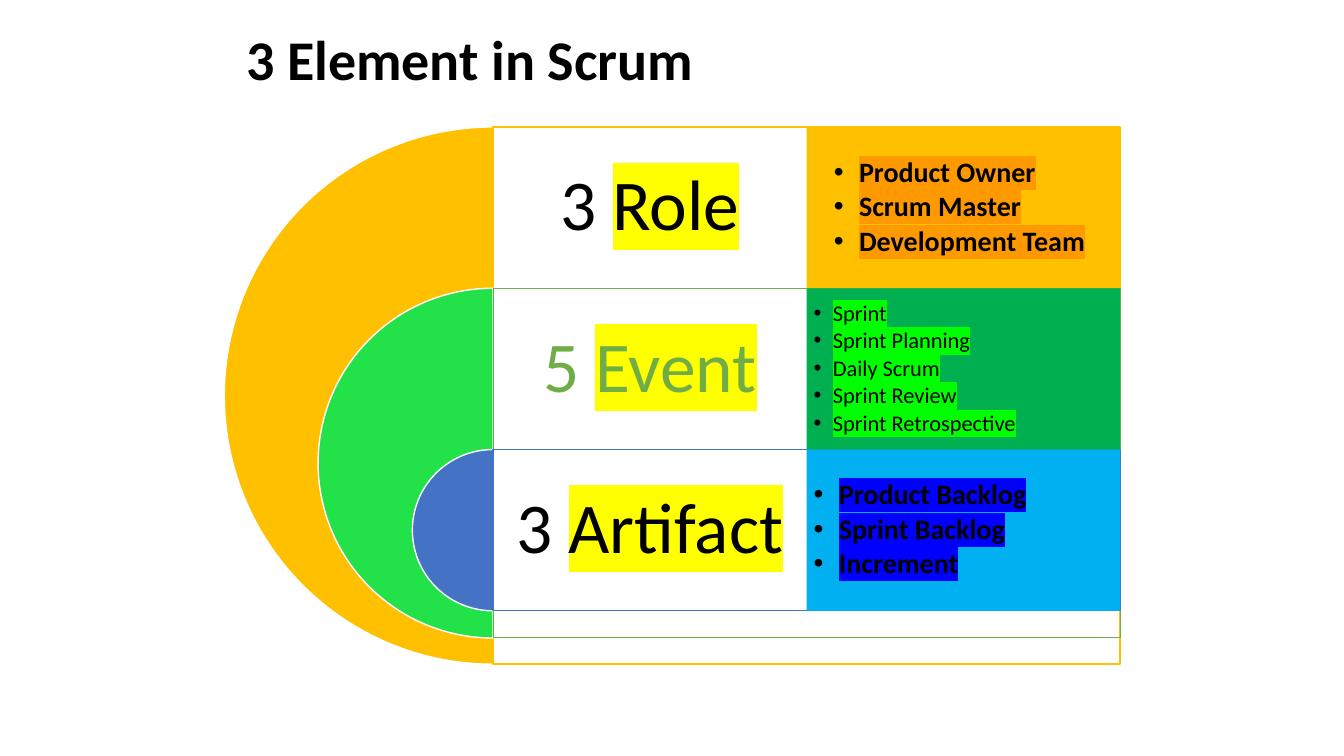
import lxml.etree
import pptx
import pptx.dml.color
import pptx.enum.shapes
import pptx.enum.text
import pptx.oxml.ns
import pptx.util
from pptx.util import Inches

COLORS = {
    "black": "000000", "white": "FFFFFF", "yellow": "FFFF00",
    "gold": "FFC000", "orange": "FF9900",
    "bright_green": "23E148", "soft_green": "70AD47",
    "green": "00B050", "lime": "00FF00",
    "steel_blue": "4472C4", "sky_blue": "00B0F0", "blue": "0000FF",
}
FONT = "Calibri"
TOP, ROW_HEIGHT = 1.26, 1.6
CENTER, COLUMN_WIDTH = 4.89, 3.11

ROWS = [
    {"count": "3 ", "name": "Role", "label": "black", "size": 5.33,
     "pie": "gold", "frame": "gold", "frame_width": 1, "opacity": 90,
     "panel": "gold", "highlight": "orange", "font_size": 20, "bold": True,
     "inset": 0.27, "indent": 0.25, "gap": 3,
     "items": ["Product Owner", "Scrum Master", "Development Team"]},
    {"count": "5 ", "name": "Event", "label": "soft_green", "size": 3.47,
     "pie": "bright_green", "frame": "soft_green", "frame_width": 0.75,
     "opacity": 0,
     "panel": "green", "highlight": "lime", "font_size": 16, "bold": False,
     "inset": 0.07, "indent": 0.19, "gap": 2.4,
     "items": ["Sprint", "Sprint Planning", "Daily Scrum", "Sprint Review",
               "Sprint Retrospective"]},
    {"count": "3 ", "name": "Artifact", "label": "black", "size": 1.6,
     "pie": "steel_blue", "frame": "steel_blue", "frame_width": 1,
     "opacity": 90,
     "panel": "sky_blue", "highlight": "blue", "font_size": 20, "bold": True,
     "inset": 0.07, "indent": 0.25, "gap": 3,
     "items": ["Product Backlog", "Sprint Backlog", "Increment"]},
]


def rgb(name):
    return pptx.dml.color.RGBColor.from_string(COLORS[name])


def add_child(parent, tag, **attributes):
    return lxml.etree.SubElement(parent, pptx.oxml.ns.qn(tag), attributes)


def place(shape, left, top, width, height):
    shape.left, shape.top = Inches(left), Inches(top)
    shape.width, shape.height = Inches(width), Inches(height)


def format_run(run, size, color, bold=False, highlight=None):
    run.font.name = FONT
    run.font.size = pptx.util.Pt(size)
    run.font.bold = bold
    run.font.color.rgb = rgb(color)
    if highlight:
        properties = run.font._element
        mark = add_child(properties, "a:highlight")
        add_child(mark, "a:srgbClr", val=COLORS[highlight])
        properties.find(pptx.oxml.ns.qn("a:solidFill")).addnext(mark)


def set_frame(text_frame, inset):
    """Centre the text vertically with the same inset on every side."""
    text_frame.word_wrap = True
    text_frame.auto_size = pptx.enum.text.MSO_AUTO_SIZE.NONE
    text_frame.vertical_anchor = pptx.enum.text.MSO_ANCHOR.MIDDLE
    text_frame.margin_left = text_frame.margin_right = Inches(inset)
    text_frame.margin_top = text_frame.margin_bottom = Inches(inset)


def add_outlined(slide, kind, box, fill, line, line_width, opacity=100):
    shape = slide.shapes.add_shape(kind, *map(Inches, box))
    shape.shadow.inherit = False
    shape.line.color.rgb = rgb(line)
    shape.line.width = pptx.util.Pt(line_width)
    if opacity == 0:
        shape.fill.background()
        return shape
    shape.fill.solid()
    shape.fill.fore_color.rgb = rgb(fill)
    if opacity < 100:
        color = shape._element.spPr.find(
            pptx.oxml.ns.qn("a:solidFill"))[0]
        add_child(color, "a:alpha", val=str(opacity * 1000))
    return shape


def add_half_disc(slide, row, top):
    size = row["size"]
    pie = add_outlined(slide, pptx.enum.shapes.MSO_SHAPE.PIE,
                       (CENTER - size / 2, top, size, size),
                       row["pie"], "white", 1)
    pie.adjustments[0] = 54
    pie.adjustments[1] = 162


def add_label(slide, row, top):
    box = slide.shapes.add_textbox(
        *map(Inches, (CENTER, top, COLUMN_WIDTH, ROW_HEIGHT)))
    set_frame(box.text_frame, 0.21)
    paragraph = box.text_frame.paragraphs[0]
    paragraph.alignment = pptx.enum.text.PP_ALIGN.CENTER
    paragraph.line_spacing = 0.9
    for text, highlight in ((row["count"], None), (row["name"], "yellow")):
        run = paragraph.add_run()
        run.text = text
        format_run(run, 51, row["label"], highlight=highlight)


def fill_list(slide, placeholder, row, top):
    """Turn a body placeholder into the coloured list panel of a row."""
    slide.shapes._spTree.append(placeholder._element)  # bring to front
    place(placeholder, CENTER + COLUMN_WIDTH, top, COLUMN_WIDTH, ROW_HEIGHT)
    placeholder.fill.solid()
    placeholder.fill.fore_color.rgb = rgb(row["panel"])
    text_frame = placeholder.text_frame
    text_frame.text = "\n".join(row["items"])
    set_frame(text_frame, row["inset"])
    indent = Inches(row["indent"])
    for paragraph in text_frame.paragraphs:
        paragraph.level = 1
        properties = paragraph._p.get_or_add_pPr()
        properties.set("marL", str(indent))
        properties.set("indent", str(-indent))
        add_child(properties, "a:buFont", typeface="Arial")
        add_child(properties, "a:buChar", char="•")
        paragraph.alignment = pptx.enum.text.PP_ALIGN.LEFT
        paragraph.line_spacing = 0.9
        paragraph.space_before = pptx.util.Pt(0)
        paragraph.space_after = pptx.util.Pt(row["gap"])
        format_run(paragraph.runs[0], row["font_size"], "black",
                   row["bold"], row["highlight"])


def set_title(slide, text):
    title = slide.shapes.title
    place(title, 2.34, 0.19, 6.77, 0.77)
    title.text_frame.text = text
    title.text_frame.vertical_anchor = pptx.enum.text.MSO_ANCHOR.TOP
    title.text_frame.auto_size = pptx.enum.text.MSO_AUTO_SIZE.SHAPE_TO_FIT_TEXT
    paragraph = title.text_frame.paragraphs[0]
    paragraph.alignment = pptx.enum.text.PP_ALIGN.LEFT
    format_run(paragraph.runs[0], 40, "black", bold=True)


def main():
    presentation = pptx.Presentation()
    presentation.slide_width = Inches(13.33)
    presentation.slide_height = Inches(7.5)
    comparison_layout = presentation.slide_layouts[4]
    slide = presentation.slides.add_slide(comparison_layout)
    set_title(slide, "3 Element in Scrum")

    *lists, spare = list(slide.placeholders)[1:]
    spare._element.getparent().remove(spare._element)
    for index, (row, placeholder) in enumerate(zip(ROWS, lists)):
        top = TOP + index * ROW_HEIGHT
        add_half_disc(slide, row, top)
        add_outlined(slide, pptx.enum.shapes.MSO_SHAPE.RECTANGLE,
                     (CENTER, top, 2 * COLUMN_WIDTH, row["size"]),
                     "white", row["frame"], row["frame_width"],
                     row["opacity"])
        add_label(slide, row, top)
    for index, (row, placeholder) in enumerate(zip(ROWS, lists)):
        fill_list(slide, placeholder, row, TOP + index * ROW_HEIGHT)

    presentation.save("out.pptx")


if __name__ == "__main__":
    main()
